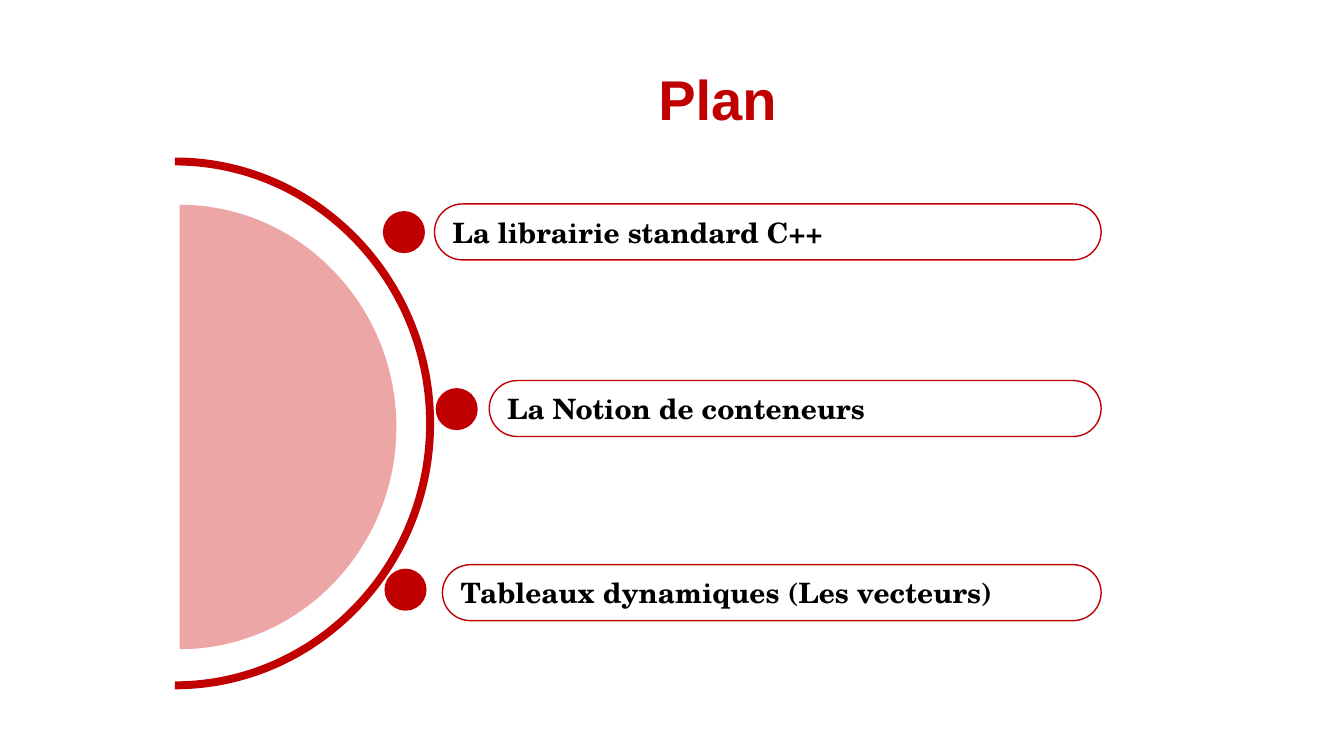
from typing import NamedTuple

from lxml.etree import Element, SubElement
from pptx import Presentation
from pptx.dml.color import RGBColor
from pptx.enum.shapes import MSO_SHAPE
from pptx.enum.text import MSO_ANCHOR, MSO_AUTO_SIZE, PP_ALIGN
from pptx.oxml.ns import qn
from pptx.util import Cm, Pt

RED = RGBColor(0xC0, 0x00, 0x00)
DISC_RED = RGBColor(0xCC, 0x00, 0x00)
BLACK = RGBColor(0x00, 0x00, 0x00)
WHITE = RGBColor(0xFF, 0xFF, 0xFF)

TITLE_FONT = {"name": "Arial", "size": Pt(40), "bold": True}
TOPIC_FONT = {"name": "TeX Gyre Schola", "size": Pt(20), "bold": True}

PILL_HEIGHT = 1.41
DOT_SIZE = 1.06
CURVE_PULL = 0.55


class Box(NamedTuple):
    """A region of the slide, in centimetres."""
    left: float
    top: float
    width: float
    height: float

    def lengths(self):
        return [Cm(value) for value in self]


class Topic(NamedTuple):
    """A plan entry; positions are offsets from the list's box."""
    text: str
    pill_left: float
    pill_top: float
    dot_left: float
    dot_top: float


TOPICS = [
    Topic("La librairie standard C++", 1.3, 0, 0, 0.18),
    Topic("La Notion de conteneurs", 2.68, 4.45, 1.33, 4.64),
    Topic("Tableaux dynamiques (Les vecteurs)", 1.5, 9.09, 0.04, 9.19),
]


def format_text(frame, text, font_values, color, alignment, anchor):
    frame.text = text
    frame.word_wrap = True
    frame.vertical_anchor = anchor
    para = frame.paragraphs[0]
    para.alignment = alignment
    span = para.runs[0]
    for name, value in font_values.items():
        setattr(span.font, name, value)
    span.font.color.rgb = color


def paint(shape, fill, line=None):
    shape.shadow.inherit = False
    shape.fill.solid()
    shape.fill.fore_color.rgb = fill
    if line is None:
        shape.line.fill.background()
    else:
        shape.line.color.rgb = line
        shape.line.width = Pt(1)


def add_title(page, box):
    title = page.shapes.title
    title.left, title.top, title.width, title.height = box.lengths()
    frame = title.text_frame
    format_text(frame, "Plan", TITLE_FONT, RED, PP_ALIGN.CENTER, MSO_ANCHOR.BOTTOM)
    frame.auto_size = MSO_AUTO_SIZE.NONE
    frame.margin_bottom = Cm(0.25)


def right_arc(box, inset=0):
    """Top, right and bottom points of a half ellipse, with two controls between each."""
    top, bottom = box.top + inset, box.top + box.height - inset
    middle = (top + bottom) / 2
    radius_x, radius_y = box.width - inset, middle - top
    right = box.left + radius_x
    pull_x, pull_y = radius_x * CURVE_PULL, radius_y * CURVE_PULL
    points = [(box.left, top), (box.left + pull_x, top), (right, middle - pull_y),
              (right, middle), (right, middle + pull_y),
              (box.left + pull_x, bottom), (box.left, bottom)]
    return [(Cm(x), Cm(y)) for x, y in points]


def bend(line, controls, outline):
    """Turn a straight segment into a cubic curve."""
    line.tag = qn("a:cubicBezTo")
    for index, (x, y) in enumerate(controls):
        point = Element(qn("a:pt"), x=str(x - outline.left), y=str(y - outline.top))
        line.insert(index, point)


def add_outline(page, arcs, color):
    anchors = [point for arc in arcs for point in arc[::3]]
    builder = page.shapes.build_freeform(*anchors[0])
    builder.add_line_segments(anchors[1:], close=True)
    outline = builder.convert_to_shape()
    lines = list(outline._element.iter(qn("a:lnTo")))
    for index, arc in enumerate(arcs):
        first = 3 * index
        bend(lines[first], arc[1:3], outline)
        bend(lines[first + 1], arc[4:6], outline)
    paint(outline, color)
    return outline


def add_half_ring(page, box, thickness):
    add_outline(page, [right_arc(box), right_arc(box, thickness)[::-1]], RED)


def add_half_disc(page, box, opacity):
    disc = add_outline(page, [right_arc(box)], DISC_RED)
    color = disc._element.spPr.find(qn("a:solidFill"))[0]
    SubElement(color, qn("a:alpha"), val=str(opacity * 1000))


def add_topics(page, box):
    for topic in TOPICS:
        pill_box = Box(box.left + topic.pill_left, box.top + topic.pill_top,
                       box.width - topic.pill_left, PILL_HEIGHT)
        pill = page.shapes.add_shape(MSO_SHAPE.ROUNDED_RECTANGLE, *pill_box.lengths())
        pill.adjustments[0] = 0.5
        paint(pill, WHITE, RED)
        format_text(pill.text_frame, topic.text, TOPIC_FONT, BLACK,
                    PP_ALIGN.LEFT, MSO_ANCHOR.MIDDLE)

        dot_box = Box(box.left + topic.dot_left, box.top + topic.dot_top,
                      DOT_SIZE, DOT_SIZE)
        dot = page.shapes.add_shape(MSO_SHAPE.OVAL, *dot_box.lengths())
        paint(dot, RED)


def main():
    deck = Presentation()
    deck.slide_width, deck.slide_height = Cm(33.87), Cm(19.05)
    page = deck.slides.add_slide(deck.slide_layouts[5])
    add_title(page, Box(9.19, 0.39, 17.78, 3.18))
    add_half_ring(page, Box(4.41, 3.97, 6.53, 13.4), thickness=0.2)
    add_half_disc(page, Box(4.53, 5.16, 5.46, 11.2), opacity=35)
    add_topics(page, Box(9.65, 5.14, 18.1, 10.5))
    deck.save("out.pptx")


if __name__ == "__main__":
    main()
